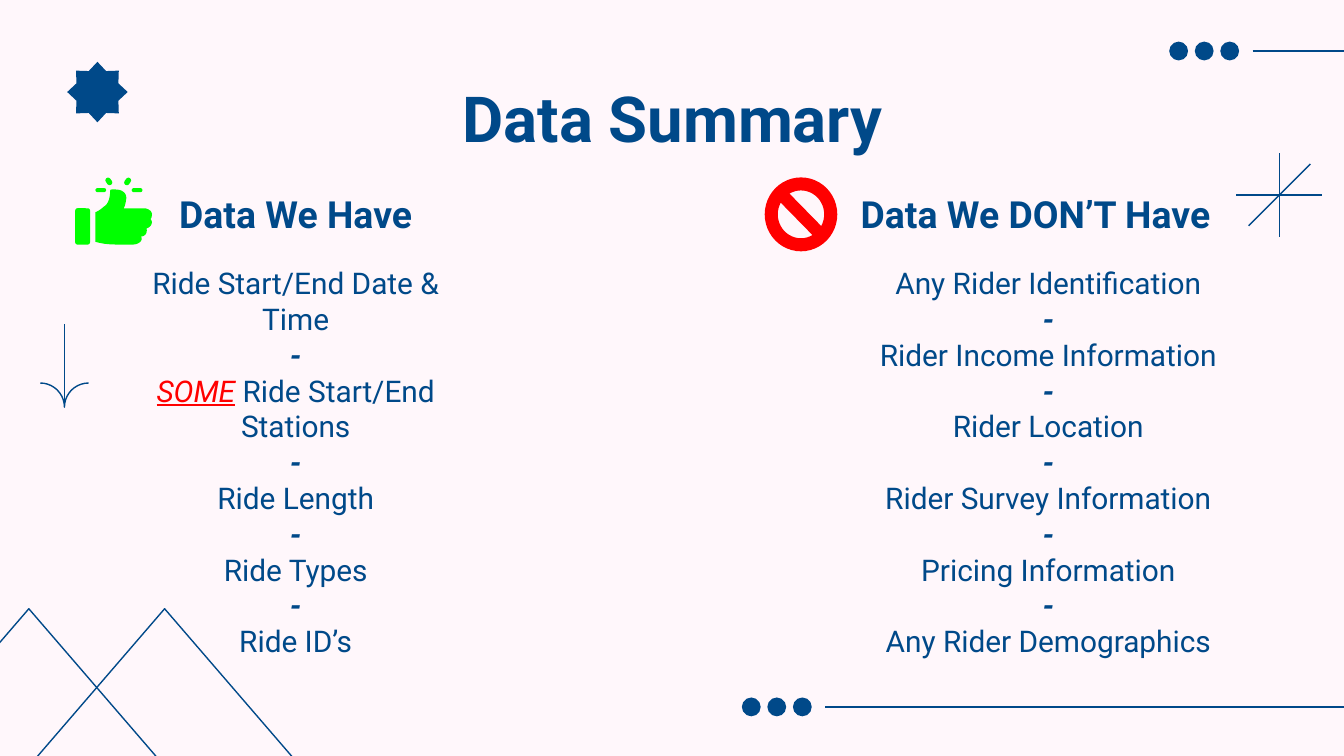
import math

import pptx
import pptx.dml.color
import pptx.enum.shapes
import pptx.enum.text
import pptx.util
from lxml import etree
from pptx.util import Inches

NAVY = pptx.dml.color.RGBColor(0x00, 0x49, 0x89)
PINK = pptx.dml.color.RGBColor(0xFF, 0xF7, 0xFB)
RED = pptx.dml.color.RGBColor(0xFF, 0x00, 0x00)
GREEN = pptx.dml.color.RGBColor(0x00, 0xFF, 0x00)
FONT = "Roboto"
A = "{http://schemas.openxmlformats.org/drawingml/2006/main}"
SHAPE = pptx.enum.shapes.MSO_SHAPE
LINE_W = pptx.util.Pt(0.75)

# Hand outline in hundredths of an inch: pairs are corners, sixes are Bezier curves.
HAND = [(13, 0), (12, 0, 11, 0, 11, 1), (11, 5, 10, 11, 6, 13), (4, 15, 2, 16, 0, 17),
        (0, 39), (4, 40, 8, 41, 16, 41), (28, 41), (32, 41, 36, 38, 34, 35),
        (37, 35, 39, 32, 38, 29), (42, 28, 43, 24, 41, 22), (42, 21, 42, 20, 42, 18),
        (42, 16, 39, 14, 36, 14), (21, 14), (22, 13, 23, 8, 23, 6), (23, 2, 19, 0, 15, 0)]

HAVE = ["Ride Start/End Date & Time",
        [("SOME", dict(color=RED, italic=True, underline=True)),
         (" Ride Start/End Stations", {})],
        "Ride Length", "Ride Types", "Ride ID’s"]
DONT_HAVE = ["Any Rider Identification", "Rider Income Information", "Rider Location",
             "Rider Survey Information", "Pricing Information", "Any Rider Demographics"]


def paint(sp, fill=None, line=None):
    sp.shadow.inherit = False
    if fill is None:
        sp.fill.background()
    else:
        sp.fill.solid()
        sp.fill.fore_color.rgb = fill
    if line is None:
        sp.line.fill.background()
    else:
        sp.line.color.rgb = line
        sp.line.width = LINE_W
    return sp


def shape(s, kind, x, y, w, h, **colors):
    sp = s.shapes.add_shape(kind, Inches(x), Inches(y), Inches(w), Inches(h))
    return paint(sp, **colors)


def line(s, x1, y1, x2, y2):
    c = s.shapes.add_connector(pptx.enum.shapes.MSO_CONNECTOR.STRAIGHT,
                               Inches(x1), Inches(y1), Inches(x2), Inches(y2))
    c.line.color.rgb = NAVY
    c.line.width = LINE_W
    etree.SubElement(c._element.spPr, A + "effectLst")


def outline(s, points, close, **colors):
    pts = [(Inches(x), Inches(y)) for x, y in points]
    builder = s.shapes.build_freeform(*pts[0])
    builder.add_line_segments(pts[1:], close=close)
    return paint(builder.convert_to_shape(), **colors)


def flatten(segments, steps=8):
    """Turn corners and Bezier curves into a list of points."""
    points = [segments[0]]
    for seg in segments[1:]:
        if len(seg) == 2:
            points.append(seg)
            continue
        ctrl = [points[-1], seg[0:2], seg[2:4], seg[4:6]]
        for i in range(1, steps + 1):
            t = i / steps
            weights = [math.comb(3, k) * t ** k * (1 - t) ** (3 - k) for k in range(4)]
            points.append(tuple(sum(w * c[axis] for w, c in zip(weights, ctrl))
                                for axis in (0, 1)))
    return points


def add_run(p, text, size=16, color=NAVY, bold=False, italic=False, underline=False):
    r = p.add_run()
    r.text = text
    f = r.font
    f.name, f.size, f.color.rgb = FONT, pptx.util.Pt(size), color
    f.bold, f.italic, f.underline = bold, italic, underline


def write(sp, paragraphs, **fmt):
    """Fill a text shape; each paragraph is a list of (text, format) runs."""
    tf = sp.text_frame
    tf.word_wrap = True
    tf.auto_size = pptx.enum.text.MSO_AUTO_SIZE.NONE
    tf.vertical_anchor = pptx.enum.text.MSO_ANCHOR.TOP
    tf.margin_left = tf.margin_right = tf.margin_top = tf.margin_bottom = Inches(0.1)
    for i, runs in enumerate(paragraphs):
        p = tf.paragraphs[0] if i == 0 else tf.add_paragraph()
        p.alignment = pptx.enum.text.PP_ALIGN.CENTER
        for text, own in runs:
            add_run(p, text, **{**fmt, **own})


def text_box(s, x, y, w, h, paragraphs, **fmt):
    sp = s.shapes.add_textbox(Inches(x), Inches(y), Inches(w), Inches(h))
    write(sp, paragraphs, **fmt)


def title(s, x, y, w, h, text):
    sp = s.shapes.title
    sp.left, sp.top, sp.width, sp.height = Inches(x), Inches(y), Inches(w), Inches(h)
    write(sp, [[(text, {})]], size=34, bold=True)


def data_list(s, x, y, w, h, items):
    """Centred items with a dash on its own line between them."""
    paragraphs = []
    for i, item in enumerate(items):
        if i:
            paragraphs.append([("-", dict(bold=True, italic=True))])
        paragraphs.append([(item, {})] if isinstance(item, str) else item)
    text_box(s, x, y, w, h, paragraphs)


def heading(s, x, y, w, h, text):
    text_box(s, x, y, w, h, [[(text, {})]], size=20, bold=True)


def dots_and_line(s, x, y, end):
    for i in range(3):
        shape(s, SHAPE.OVAL, x + 0.19 * i, y, 0.14, 0.14, fill=NAVY)
    line(s, x + 0.62, y + 0.07, end, y + 0.07)


def mountains(s, x, y, w, h):
    for left in (x + 1.01, x):
        shape(s, SHAPE.ISOSCELES_TRIANGLE, left, y, w, h, line=NAVY)


def asterisk(s, x, y, w, h):
    cx, cy = x + w / 2, y + h / 2
    line(s, x, cy, x + w, cy)
    line(s, cx, y, cx, y + h)
    line(s, cx - 0.23, cy + 0.23, cx + 0.23, cy - 0.23)


def down_arrow(s, x, y, w, h):
    r = w / 2
    tip = y + h
    line(s, x + r, y, x + r, tip)
    angles = [math.radians(a) for a in range(0, 91, 9)]
    left = [(x + r * math.sin(a), tip - r * math.cos(a)) for a in angles]
    right = [(2 * (x + r) - px, py) for px, py in reversed(left)]
    outline(s, left + right, False, line=NAVY)


def thumbs_up(s, x, y):
    for dx, dy, w, h, angle in [(0.15, 0.08, 0.08, 0.03, 0), (0.42, 0.08, 0.08, 0.03, 0),
                                (0.22, 0.01, 0.06, 0.04, 55), (0.36, 0.01, 0.06, 0.04, -55)]:
        ray = shape(s, SHAPE.ROUNDED_RECTANGLE, x + dx, y + dy, w, h, fill=GREEN)
        ray.adjustments[0] = 0.5
        ray.rotation = angle
    cuff = shape(s, SHAPE.ROUNDED_RECTANGLE, x, y + 0.23, 0.11, 0.27, fill=GREEN)
    cuff.adjustments[0] = 0.15
    hand = [(x + 0.15 + px / 100, y + 0.09 + py / 100) for px, py in flatten(HAND)]
    outline(s, hand, True, fill=GREEN)


def main():
    prs = pptx.Presentation()
    prs.slide_width = Inches(10)
    prs.slide_height = prs.slide_width * 9 // 16
    s = prs.slides.add_slide(prs.slide_layouts[5])
    s.background.fill.solid()
    s.background.fill.fore_color.rgb = PINK

    mountains(s, -0.94, 4.53, 2.31, 1.34)
    dots_and_line(s, 5.52, 5.19, 10.04)
    dots_and_line(s, 8.7, 0.31, 10.04)
    asterisk(s, 9.2, 1.14, 0.64, 0.62)
    down_arrow(s, 0.3, 2.41, 0.36, 0.62)
    star = shape(s, SHAPE.STAR_8_POINT, 0.5, 0.46, 0.45, 0.45, fill=NAVY)
    star.adjustments[0] = 0.375

    title(s, 0.79, 0.49, 8.43, 0.63, "Data Summary")
    data_list(s, 0.79, 1.87, 2.82, 3.47, HAVE)
    data_list(s, 6.39, 1.87, 2.82, 3.24, DONT_HAVE)
    heading(s, 0.79, 1.32, 2.82, 0.55, "Data We Have")
    heading(s, 6.19, 1.32, 3.03, 0.55, "Data We DON’T Have")
    shape(s, SHAPE.NO_SYMBOL, 5.69, 1.32, 0.54, 0.55, fill=RED).adjustments[0] = 0.18
    thumbs_up(s, 0.56, 1.32)
    prs.save("out.pptx")


if __name__ == "__main__":
    main()
